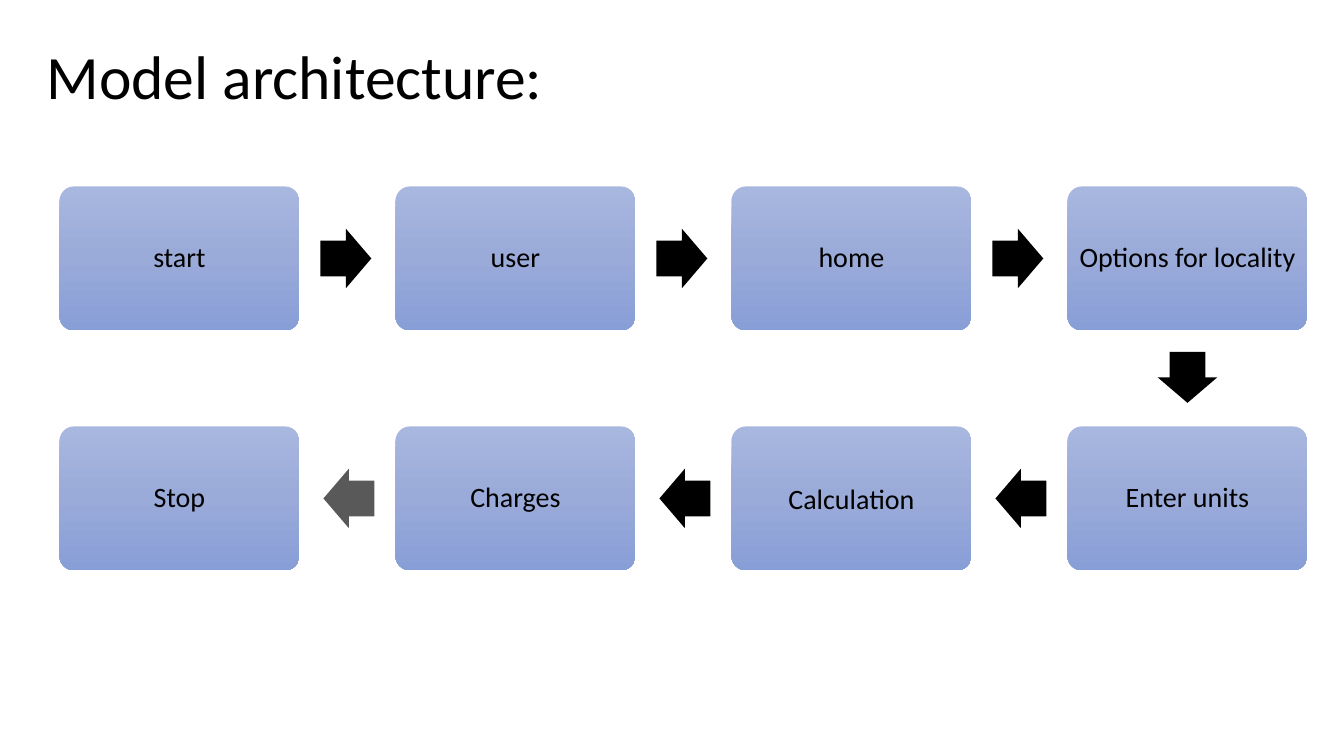
from dataclasses import dataclass
import copy

import pptx
import pptx.dml.color
import pptx.enum.shapes
import pptx.enum.text
import pptx.util

Pt = pptx.util.Pt
SHAPE = pptx.enum.shapes.MSO_SHAPE
ALIGN = pptx.enum.text.PP_ALIGN

# Grid, in points
LEFT, COL_PITCH = 42.5, 240
TOP, ROW_PITCH = 133.2, 171.4
BOX_W, BOX_H = 171.4, 102.85
ARROW_W, ARROW_H = 36.35, 42.5
INSET = 2.8
BOX_GRADIENT = ("A8B7DF", "9AABD9", "889ED7")


@dataclass
class Step:
    label: str
    col: int
    row: int
    extra_top: float = 0


@dataclass
class Arrow:
    cx: float
    cy: float
    rotation: int
    color: str = "000000"


def rgb(color: str) -> pptx.dml.color.RGBColor:
    return pptx.dml.color.RGBColor.from_string(color)


def add_text(p, text: str, size: float, align) -> None:
    p.alignment, p.line_spacing = align, 0.9
    r = p.add_run()
    r.text = text
    r.font.name, r.font.size = "Calibri", Pt(size)
    r.font.color.rgb = rgb("000000")


def add_step(s, step: Step) -> None:
    sp = s.shapes.add_shape(SHAPE.ROUNDED_RECTANGLE,
                            Pt(LEFT + step.col * COL_PITCH), Pt(TOP + step.row * ROW_PITCH),
                            Pt(BOX_W), Pt(BOX_H))
    sp.adjustments[0] = 0.1
    sp.shadow.inherit = False
    sp.line.fill.background()
    # Three-stop gradient running downwards
    sp.fill.gradient()
    sp.fill.gradient_angle = 270
    first = sp._element.spPr.find(".//" + pptx.oxml.ns.qn("a:gs"))
    first.addnext(copy.deepcopy(first))
    for i, (stop, color) in enumerate(zip(sp.fill.gradient_stops, BOX_GRADIENT)):
        stop.position, stop.color.rgb = i / 2, rgb(color)
    tf = sp.text_frame
    tf.word_wrap = True
    tf.vertical_anchor = pptx.enum.text.MSO_ANCHOR.MIDDLE
    tf.margin_left = tf.margin_right = tf.margin_bottom = Pt(INSET)
    tf.margin_top = Pt(INSET + step.extra_top)
    add_text(tf.paragraphs[0], step.label, 20, ALIGN.CENTER)


def add_arrow(s, arrow: Arrow) -> None:
    sp = s.shapes.add_shape(SHAPE.RIGHT_ARROW,
                            Pt(arrow.cx - ARROW_W / 2), Pt(arrow.cy - ARROW_H / 2),
                            Pt(ARROW_W), Pt(ARROW_H))
    sp.adjustments[0], sp.adjustments[1] = 0.6, 0.5
    sp.rotation = arrow.rotation
    sp.shadow.inherit = False
    sp.fill.solid()
    sp.fill.fore_color.rgb = rgb(arrow.color)
    sp.line.fill.background()


def main() -> None:
    prs = pptx.Presentation()
    prs.slide_width, prs.slide_height = Pt(960), Pt(540)
    s = prs.slides.add_slide(prs.slide_layouts[5])

    # Title
    sp = s.shapes.title
    sp.left, sp.top, sp.width, sp.height = Pt(26), Pt(0), Pt(850), Pt(113.5)
    tf = sp.text_frame
    tf.vertical_anchor = pptx.enum.text.MSO_ANCHOR.MIDDLE
    add_text(tf.paragraphs[0], "Model architecture:", 44, ALIGN.LEFT)

    # Steps: rightwards on top, back leftwards below
    steps = [Step("start", 0, 0), Step("user", 1, 0), Step("home", 2, 0),
             Step("Options for locality", 3, 0), Step("Enter units", 3, 1),
             Step("Calculation", 2, 1, 2.9), Step("Charges", 1, 1), Step("Stop", 0, 1)]
    for step in steps:
        add_step(s, step)

    # Arrows between neighbouring steps
    mid_y = TOP + BOX_H / 2
    arrows = [Arrow(247.1 + i * COL_PITCH, mid_y, 0) for i in range(3)]
    arrows.append(Arrow(LEFT + 3 * COL_PITCH + BOX_W / 2, 269.6, 90))
    arrows += [Arrow(249.2 + i * COL_PITCH, mid_y + ROW_PITCH, 180, color)
               for i, color in enumerate(("595959", "000000", "000000"))]
    for arrow in arrows:
        add_arrow(s, arrow)

    prs.save("out.pptx")


if __name__ == "__main__":
    main()
